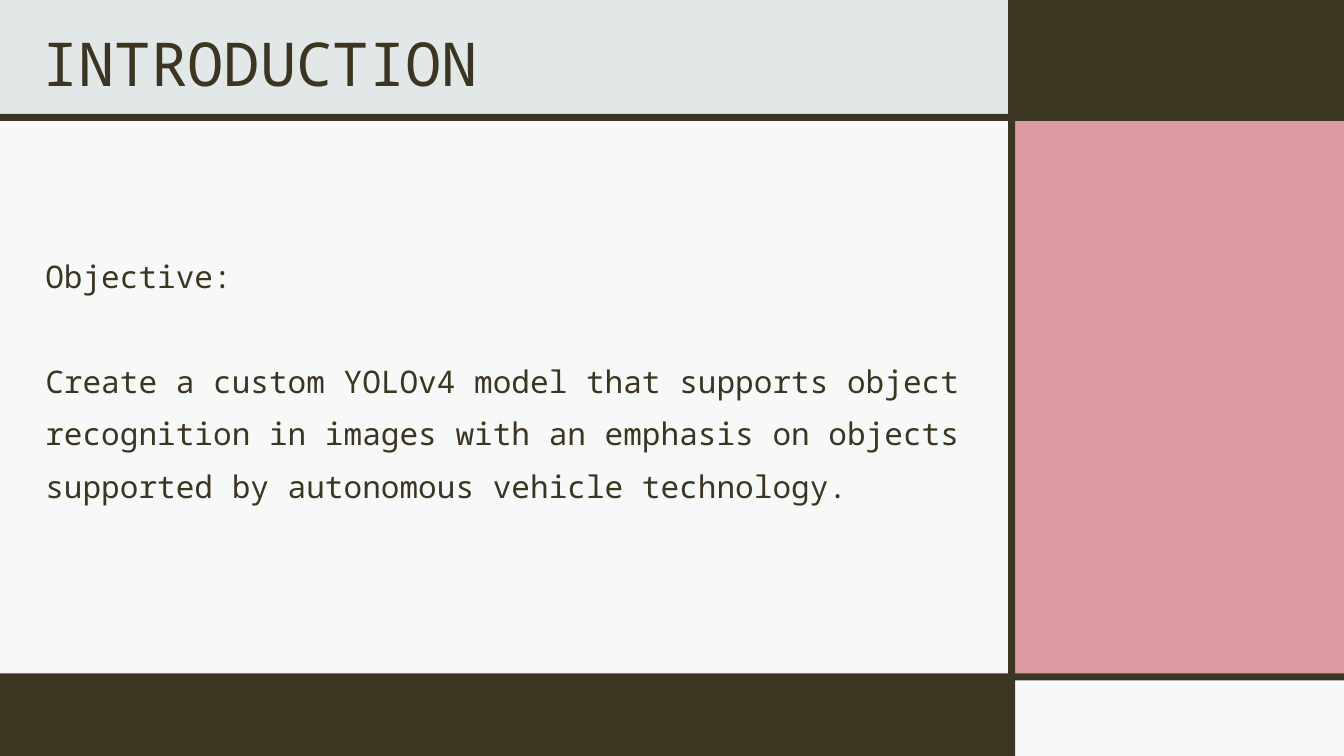
import pptx
import pptx.dml.color
import pptx.enum.shapes
import pptx.enum.text
import pptx.oxml.ns
import pptx.oxml.xmlchemy
import pptx.util

PX = 9144
SLIDE_WIDTH, SLIDE_HEIGHT = 1333, 750
FONT = "Noto Sans Mono"
COLOURS = {"mist": "E2E8E7", "bark": "3C3522", "white": "FFFFFF", "rose": "DA828B"}
TITLE = "INTRODUCTION"
OBJECTIVE = [
    "Objective:",
    "Create a custom YOLOv4 model that supports object recognition in images "
    "with an emphasis on objects supported by autonomous vehicle technology.",
]
PANELS = [
    ((1002, 0, 331, 116), "bark", 100),
    ((0, 120, 1002, 549), "white", 75),
    ((0, 672, 1006, 78), "bark", 100),
    ((1002, 115, 331, 559), "rose", 75),
    ((1002, 674, 331, 76), "white", 75),
]
DIVIDERS = [
    (0, 113, SLIDE_WIDTH, 7),
    (0, 668, SLIDE_WIDTH, 7),
    (1000, 0, 7, SLIDE_HEIGHT),
]


def emu(box):
    return [pptx.util.Emu(length * PX) for length in box]


def rgb(colour):
    return pptx.dml.color.RGBColor.from_string(COLOURS[colour])


def apply_format(target, values):
    for attribute, value in values.items():
        setattr(target, attribute, value)


def add_panel(slide, box, colour, opacity=100):
    panel = slide.shapes.add_shape(pptx.enum.shapes.MSO_SHAPE.RECTANGLE, *emu(box))
    panel.shadow.inherit = False
    panel.line.fill.background()
    panel.fill.solid()
    panel.fill.fore_color.rgb = rgb(colour)
    if opacity < 100:
        tint = panel.element.spPr.find(".//" + pptx.oxml.ns.qn("a:srgbClr"))
        alpha = pptx.oxml.xmlchemy.OxmlElement("a:alpha")
        alpha.set("val", str(opacity * 1000))
        tint.append(alpha)


def add_text(slide, box, lines, size, spacing, gap=0, anchor="TOP"):
    frame = slide.shapes.add_textbox(*emu(box)).text_frame
    left, top, right, bottom = emu((12, 12, 12, 10))
    apply_format(frame, {
        "word_wrap": True,
        "auto_size": pptx.enum.text.MSO_AUTO_SIZE.NONE,
        "vertical_anchor": pptx.enum.text.MSO_ANCHOR[anchor],
        "margin_left": left,
        "margin_top": top,
        "margin_right": right,
        "margin_bottom": bottom,
    })
    for index, line in enumerate(lines):
        paragraph = frame.add_paragraph() if index else frame.paragraphs[0]
        apply_format(paragraph, {
            "line_spacing": spacing,
            "space_before": pptx.util.Pt(gap if index else 0),
        })
        run = paragraph.add_run()
        run.text = line
        apply_format(run.font, {"name": FONT, "size": pptx.util.Pt(size)})
        run.font.color.rgb = rgb("bark")


def main():
    deck = pptx.Presentation()
    deck.slide_width, deck.slide_height = emu((SLIDE_WIDTH, SLIDE_HEIGHT))
    slide = deck.slides.add_slide(deck.slide_layouts[6])
    slide.background.fill.solid()
    slide.background.fill.fore_color.rgb = rgb("mist")
    for box, colour, opacity in PANELS:
        add_panel(slide, box, colour, opacity)
    for box in DIVIDERS:
        add_panel(slide, box, "bark")
    add_text(slide, (30, 3, 961, 105), [TITLE], 43.2, 1.25, anchor="BOTTOM")
    add_text(slide, (33, 229, 936, 268), OBJECTIVE, 22.2, 1.4, gap=37.5)
    deck.save("out.pptx")


if __name__ == "__main__":
    main()
